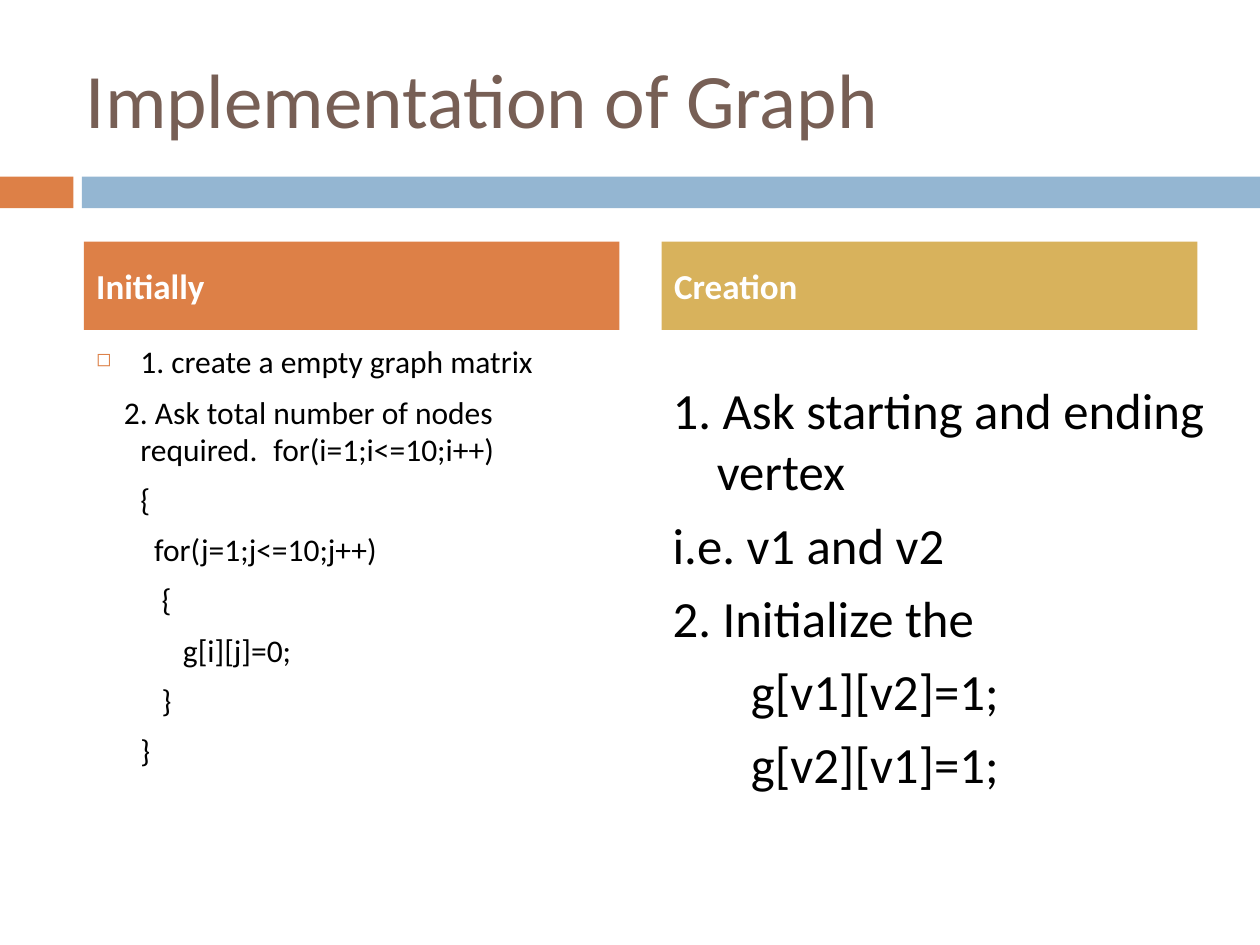
from lxml import etree
from pptx import Presentation
from pptx.dml.color import RGBColor
from pptx.enum.shapes import MSO_SHAPE
from pptx.enum.text import MSO_ANCHOR, PP_ALIGN
from pptx.oxml.ns import qn
from pptx.util import Cm, Pt

RECTANGLE = MSO_SHAPE.RECTANGLE
MIDDLE = MSO_ANCHOR.MIDDLE
LEFT = PP_ALIGN.LEFT

COLOURS = {
    "orange": "DD8047",
    "blue": "94B6D2",
    "gold": "D8B25C",
    "brown": "775F55",
    "black": "000000",
    "white": "FFFFFF",
}
HANG = 0.89

INITIALLY_STEPS = [
    ("1. create a empty graph matrix", HANG, 0),
    ("2. Ask total number of nodes required. \t for(i=1;i<=10;i++)", HANG, 0.56),
    ("{", HANG, HANG),
    ("for(j=1;j<=10;j++)", 1.17, 1.17),
    ("{", 1.32, 1.32),
    ("g[i][j]=0;", 1.75, 1.75),
    ("}", 1.32, 1.32),
    ("}", HANG, HANG),
]
CREATION_STEPS = [
    ("1. Ask starting and ending vertex", HANG, 0),
    ("i.e. v1 and v2", HANG, 0),
    ("2. Initialize the", HANG, 0),
    ("g[v1][v2]=1;", 1.58, 1.58),
    ("g[v2][v1]=1;", 1.58, 1.58),
]


class SlideBuilder:
    font = "Calibri"
    space_before = Pt(7)

    def __init__(self, slide):
        self.slide = slide

    def colour(self, name):
        return RGBColor.from_string(COLOURS[name])

    def style(self, paragraph, size, colour, bold=False):
        paragraph.alignment = LEFT
        for run in paragraph.runs:
            run.font.name = self.font
            run.font.size = Pt(size)
            run.font.bold = bold
            run.font.color.rgb = self.colour(colour)

    def band(self, left, top, width, height, fill):
        band = self.slide.shapes.add_shape(
            RECTANGLE, Cm(left), Cm(top), Cm(width), Cm(height))
        band.shadow.inherit = False
        band.fill.solid()
        band.fill.fore_color.rgb = self.colour(fill)
        band.line.fill.background()
        return band

    def heading(self, text, left, fill):
        frame = self.band(left, 4.87, 10.8, 1.78, fill).text_frame
        frame.text = text
        frame.vertical_anchor = MIDDLE
        self.style(frame.paragraphs[0], 20, "white", bold=True)

    def text_frame(self, left, top, width, height):
        frame = self.slide.shapes.add_textbox(
            Cm(left), Cm(top), Cm(width), Cm(height)).text_frame
        frame.word_wrap = True
        return frame

    def title(self, text):
        frame = self.text_frame(1.48, 0.76, 22.65, 2.42)
        frame.text = text
        frame.vertical_anchor = MIDDLE
        self.style(frame.paragraphs[0], 44, "brown")

    def steps(self, lines, left, top, width, size):
        frame = self.text_frame(left, top, width, 9.96)
        frame.text = "\n".join(text for text, _, _ in lines)
        for paragraph, (_, margin, start) in zip(frame.paragraphs, lines):
            paragraph.space_before = self.space_before
            properties = paragraph._p.get_or_add_pPr()
            properties.set("marL", str(Cm(margin)))
            properties.set("indent", str(Cm(start) - Cm(margin)))
            self.style(paragraph, size, "black")
        return frame

    def bullet(self, paragraph, symbol, colour, percent):
        properties = paragraph._p.get_or_add_pPr()
        bullet_colour = etree.SubElement(properties, qn("a:buClr"))
        etree.SubElement(bullet_colour, qn("a:srgbClr"), val=COLOURS[colour])
        etree.SubElement(properties, qn("a:buSzPct"), val=str(percent * 1000))
        etree.SubElement(properties, qn("a:buChar"), char=symbol)


def main():
    presentation = Presentation()
    presentation.slide_width = Cm(25.4)
    presentation.slide_height = Cm(19.05)
    builder = SlideBuilder(
        presentation.slides.add_slide(presentation.slide_layouts[6]))

    builder.band(0, 3.56, 1.48, 0.64, "orange")
    builder.band(1.65, 3.56, 23.75, 0.64, "blue")
    builder.title("Implementation of Graph")

    initially = builder.steps(INITIALLY_STEPS, 1.69, 6.78, 10.8, 18)
    builder.bullet(initially.paragraphs[0], "◻", "orange", 60)
    builder.steps(CREATION_STEPS, 13.31, 7.52, 11.86, 29)

    builder.heading("Initially", 1.69, "orange")
    builder.heading("Creation", 13.34, "gold")

    presentation.save("out.pptx")


if __name__ == "__main__":
    main()
